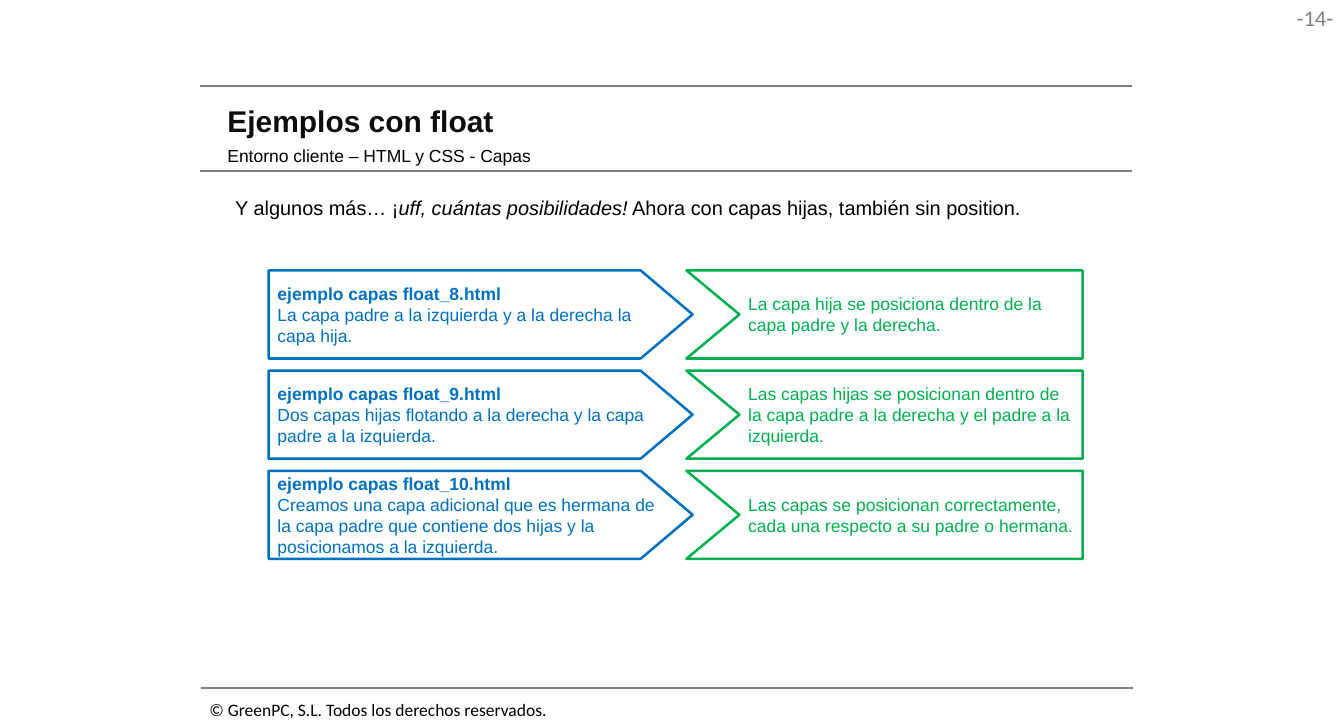
from lxml import etree
from pptx import Presentation
from pptx.dml.color import RGBColor
from pptx.enum.shapes import MSO_CONNECTOR, MSO_SHAPE
from pptx.enum.text import MSO_ANCHOR, MSO_AUTO_SIZE, PP_ALIGN
from pptx.oxml.ns import qn
from pptx.util import Pt

STRAIGHT = MSO_CONNECTOR.STRAIGHT
PENTAGON = MSO_SHAPE.PENTAGON
TOP, MIDDLE = MSO_ANCHOR.TOP, MSO_ANCHOR.MIDDLE
LEFT, RIGHT, JUSTIFY = PP_ALIGN.LEFT, PP_ALIGN.RIGHT, PP_ALIGN.JUSTIFY
FIXED = MSO_AUTO_SIZE.NONE

BLACK = RGBColor(0x00, 0x00, 0x00)
INK = RGBColor(0x0D, 0x0D, 0x0D)
GRAY = RGBColor(0x80, 0x80, 0x80)
BLUE = RGBColor(0x00, 0x70, 0xC0)
GREEN = RGBColor(0x00, 0xB0, 0x50)

# Example rows, in points
ROW_TOP, ROW_PITCH, ROW_HEIGHT = 216.7, 80.3, 70.6
FILE_LEFT, FILE_WIDTH = 215.3, 339.8
RESULT_LEFT, RESULT_WIDTH, NOTCH = 550.1, 317.5, 42.5

EXAMPLES = [
    ("ejemplo capas float_8.html",
     "La capa padre a la izquierda y a la derecha la capa hija.",
     "La capa hija se posiciona dentro de la capa padre y la derecha."),
    ("ejemplo capas float_9.html",
     "Dos capas hijas flotando a la derecha y la capa padre a la izquierda.",
     "Las capas hijas se posicionan dentro de la capa padre a la derecha "
     "y el padre a la izquierda."),
    ("ejemplo capas float_10.html",
     "Creamos una capa adicional que es hermana de la capa padre que contiene "
     "dos hijas y la posicionamos a la izquierda.",
     "Las capas se posicionan correctamente, cada una respecto a su padre "
     "o hermana."),
]


class Page:
    """Style and drawing methods for one slide."""

    font = "Arial"
    rule_width = 1.5
    outline_width = 2

    def __init__(self, slide):
        self.slide = slide
        self.shapes = slide.shapes

    def fill_text(self, shape, lines, size, color, bold=False, align=LEFT,
                  anchor=MIDDLE, insets=(7.2, 3.6, 7.2, 3.6), font=None,
                  wrap=True):
        frame = shape.text_frame
        frame.text = "\n".join(lines)
        frame.word_wrap = wrap
        frame.auto_size = FIXED
        frame.vertical_anchor = anchor
        (frame.margin_left, frame.margin_top,
         frame.margin_right, frame.margin_bottom) = map(Pt, insets)
        for paragraph in frame.paragraphs:
            paragraph.alignment = align
            paragraph.space_before = Pt(0)
            for run in paragraph.runs:
                self.style(run, size, color, bold, font)
        return frame

    def style(self, run, size, color, bold=False, font=None):
        run.font.name = font or self.font
        run.font.size = Pt(size)
        run.font.bold = bold
        run.font.color.rgb = color

    def placeholder(self, holder, box, text, size, color, bold=False):
        holder.left, holder.top, holder.width, holder.height = map(Pt, box)
        return self.fill_text(holder, [text], size, color, bold,
                              insets=(9.4, 5, 9.4, 5))

    def text(self, box, text, size, color, **options):
        label = self.shapes.add_textbox(*map(Pt, box))
        return self.fill_text(label, [text], size, color, anchor=TOP, **options)

    def rule(self, left, right, y):
        line = self.shapes.add_connector(
            STRAIGHT, Pt(left), Pt(y), Pt(right), Pt(y))
        line.line.color.rgb = GRAY
        line.line.width = Pt(self.rule_width)
        etree.SubElement(line._element.spPr, qn("a:effectLst"))

    def outline(self, shape, color):
        shape.shadow.inherit = False
        shape.fill.background()
        shape.line.color.rgb = color
        shape.line.width = Pt(self.outline_width)

    def file_arrow(self, top, name, description):
        arrow = self.shapes.add_shape(
            PENTAGON, Pt(FILE_LEFT), Pt(top), Pt(FILE_WIDTH), Pt(ROW_HEIGHT))
        arrow.adjustments[0] = 0.59
        self.outline(arrow, BLUE)
        frame = self.fill_text(arrow, [name, description], 14, BLUE)
        frame.paragraphs[0].runs[0].font.bold = True

    def result_flag(self, top, result):
        right, bottom = RESULT_LEFT + RESULT_WIDTH, top + ROW_HEIGHT
        corners = [(right, top), (right, bottom), (RESULT_LEFT, bottom),
                   (RESULT_LEFT + NOTCH, top + ROW_HEIGHT / 2)]
        builder = self.shapes.build_freeform(Pt(RESULT_LEFT), Pt(top))
        builder.add_line_segments([(Pt(x), Pt(y)) for x, y in corners])
        flag = builder.convert_to_shape()
        self.outline(flag, GREEN)
        self.fill_text(flag, [result], 14, GREEN,
                       insets=(7 + NOTCH, 3.6, 6.5, 3.6))


def main():
    deck = Presentation()
    deck.slide_width, deck.slide_height = Pt(1077.12), Pt(581.04)
    page = Page(deck.slides.add_slide(deck.slide_layouts[1]))

    # Page frame: number, rules and copyright
    page.text((1017.4, 0, 59, 29.5), "-14-", 18, GRAY, align=RIGHT,
              insets=(7.9, 3.6, 7.9, 3.6), font="Calibri", wrap=False)
    for left, y in [(160.6, 69.1), (160.6, 136.8), (161.3, 551.5)]:
        page.rule(left, left + 746.6, y)
    page.text((160.6, 556.6, 287.3, 24.4),
              "© GreenPC, S.L. Todos los derechos reservados.", 14, BLACK,
              font="Calibri", wrap=False)

    # Heading
    title, subtitle = page.slide.placeholders
    page.placeholder(title, (172.8, 77, 728.6, 38.9),
                     "Ejemplos con float", 24, INK, bold=True)
    heading = page.placeholder(subtitle, (172.8, 111.6, 547.2, 26.6),
                               "Entorno cliente – HTML y CSS - Capas", 14, BLACK)
    properties = heading.paragraphs[0]._p.get_or_add_pPr()
    properties.set("marL", "0")
    properties.set("indent", "0")
    etree.SubElement(properties, qn("a:buNone"))

    # Introduction
    intro = page.text((181.4, 153.4, 697.7, 26.6), "Y algunos más… ¡", 16,
                      BLACK, align=JUSTIFY)
    for words, italic in [
            ("uff, cuántas posibilidades!", True),
            (" Ahora con capas hijas, también sin position.", False)]:
        run = intro.paragraphs[0].add_run()
        run.text = words
        page.style(run, 16, BLACK)
        run.font.italic = italic

    # Examples and their results
    for row, (name, description, result) in enumerate(EXAMPLES):
        top = ROW_TOP + row * ROW_PITCH
        page.file_arrow(top, name, description)
        page.result_flag(top, result)

    deck.save("out.pptx")


if __name__ == "__main__":
    main()
